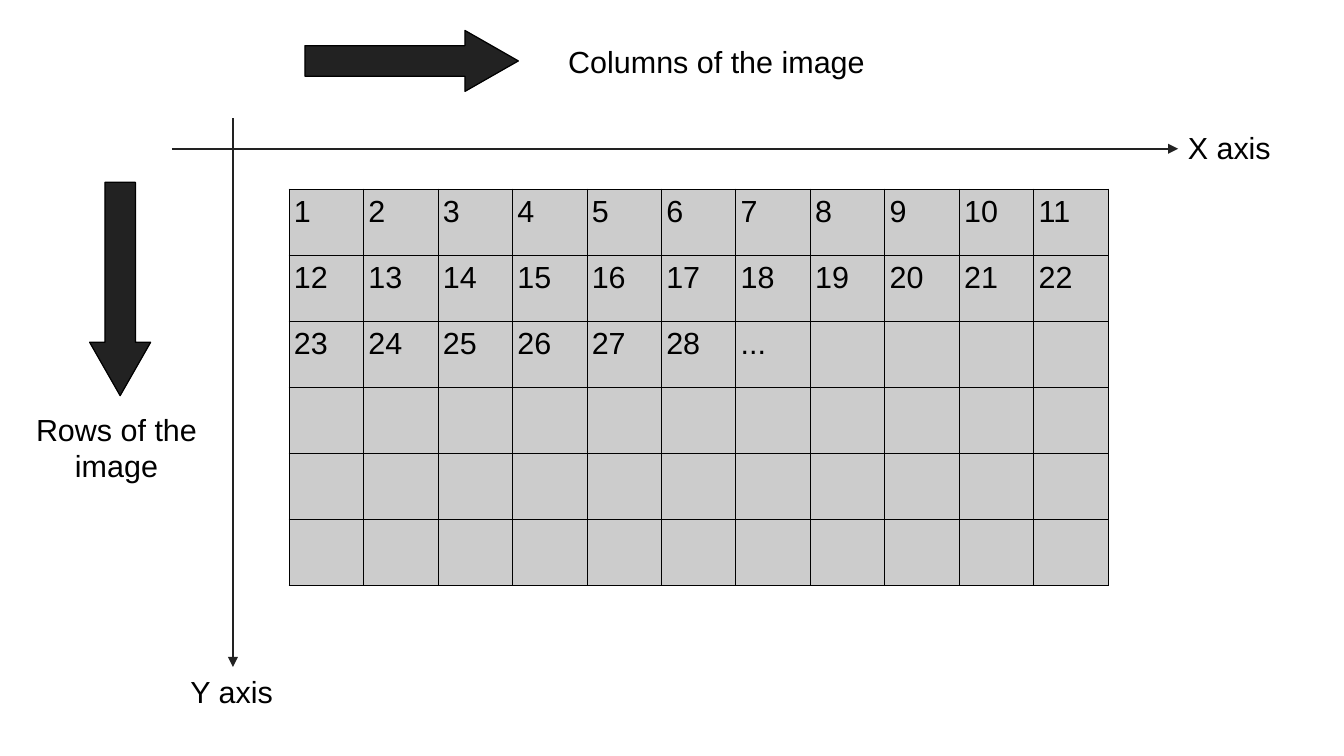
"""Build a slide showing how image pixels are numbered along the X and Y axes."""
from lxml.etree import SubElement
from pptx import Presentation
from pptx.dml.color import RGBColor
from pptx.enum.shapes import MSO_CONNECTOR, MSO_SHAPE
from pptx.enum.text import MSO_ANCHOR, PP_ALIGN
from pptx.oxml.ns import qn
from pptx.util import Inches, Pt

COLORS = {"ink": "222222", "black": "000000", "cell": "CCCCCC"}
FONT, FONT_SIZE = "Arial", Pt(18)

AXES = [(1.91, 0.97, 1.91, 5.47), (1.41, 1.22, 9.66, 1.22)]
BLOCK_ARROWS = [(2.5, 0.25, 0), (0.11, 2.12, 90)]
ARROW_WIDTH, ARROW_HEIGHT = 1.75, 0.5
LABELS = [
    ("Columns of the image", 4.25, 0.25, 3.25, 0.5),
    ("Rows of the image", 0.08, 3.34, 1.75, 0.66),
    ("Y axis", 1.15, 5.42, 1.5, 0.5),
    ("X axis", 9.33, 0.96, 1.5, 0.5),
]
ROWS, COLUMNS = 6, 11
PIXELS = [str(number) for number in range(1, 29)] + ["..."]
GRID_LEFT, GRID_TOP, GRID_WIDTH, GRID_HEIGHT = 2.37, 1.55, 6.72, 3.25


def color(name):
    return RGBColor.from_string(COLORS[name])


def style_text(paragraph):
    paragraph.font.name = FONT
    paragraph.font.size = FONT_SIZE
    paragraph.font.color.rgb = color("black")


def add_axis(slide, *ends):
    axis = slide.shapes.add_connector(MSO_CONNECTOR.STRAIGHT, *map(Inches, ends))
    axis.line.color.rgb = color("ink")
    axis.line.width = Pt(1)
    SubElement(axis.line._get_or_add_ln(), qn("a:tailEnd"), type="triangle")
    SubElement(axis._element.spPr, qn("a:effectLst"))


def add_block_arrow(slide, left, top, rotation):
    box = map(Inches, (left, top, ARROW_WIDTH, ARROW_HEIGHT))
    arrow = slide.shapes.add_shape(MSO_SHAPE.RIGHT_ARROW, *box)
    arrow.adjustments[0] = 0.5
    arrow.adjustments[1] = 0.875
    arrow.rotation = rotation
    arrow.shadow.inherit = False
    arrow.fill.solid()
    arrow.fill.fore_color.rgb = color("ink")
    arrow.line.color.rgb = color("black")
    arrow.line.width = Pt(0)


def add_label(slide, text, *box):
    frame = slide.shapes.add_textbox(*map(Inches, box)).text_frame
    frame.word_wrap = True
    frame.vertical_anchor = MSO_ANCHOR.MIDDLE
    paragraph = frame.paragraphs[0]
    paragraph.text = text
    paragraph.alignment = PP_ALIGN.CENTER
    style_text(paragraph)


def style_cell(cell):
    cell.margin_left = cell.margin_right = Inches(0.04)
    cell.margin_top = cell.margin_bottom = Inches(0.05)
    properties = cell._tc.get_or_add_tcPr()
    for side in ("lnL", "lnR", "lnT", "lnB"):
        border = SubElement(properties, qn(f"a:{side}"), w=str(Pt(0.57)))
        fill = SubElement(border, qn("a:solidFill"))
        SubElement(fill, qn("a:srgbClr"), val=COLORS["black"])
    cell.fill.solid()
    cell.fill.fore_color.rgb = color("cell")
    style_text(cell.text_frame.paragraphs[0])


def add_pixel_grid(slide):
    box = map(Inches, (GRID_LEFT, GRID_TOP, GRID_WIDTH, GRID_HEIGHT))
    table = slide.shapes.add_table(ROWS, COLUMNS, *box).table
    cells = list(table.iter_cells())
    for cell, pixel in zip(cells, PIXELS):
        cell.text = pixel
    for cell in cells:
        style_cell(cell)


presentation = Presentation()
presentation.slide_width = Inches(11.02)
presentation.slide_height = Inches(6.2)
slide = presentation.slides.add_slide(presentation.slide_layouts[6])
for ends in AXES:
    add_axis(slide, *ends)
for block_arrow in BLOCK_ARROWS:
    add_block_arrow(slide, *block_arrow)
for label in LABELS:
    add_label(slide, *label)
add_pixel_grid(slide)
presentation.save("out.pptx")
